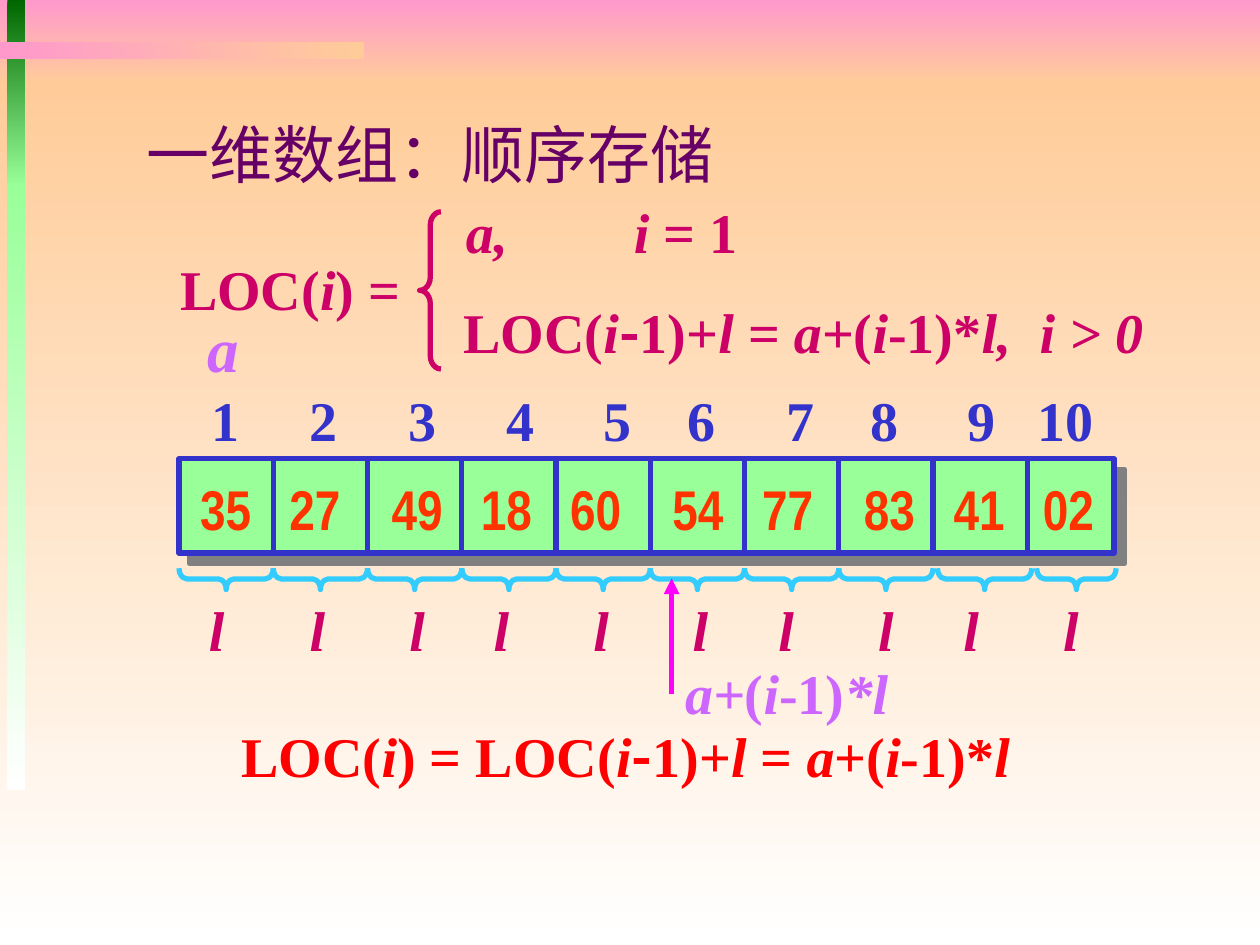
from dataclasses import dataclass
from typing import NamedTuple, Optional

import lxml.etree
import pptx
import pptx.dml.color
import pptx.enum.shapes
import pptx.enum.text
import pptx.oxml.ns
import pptx.util

Cm = pptx.util.Cm
Pt = pptx.util.Pt
qn = pptx.oxml.ns.qn
SHAPES = pptx.enum.shapes.MSO_SHAPE


@dataclass(frozen=True)
class Theme:
    pink: str = "FF99CC"
    peach: str = "FFCC99"
    white: str = "FFFFFF"
    dark_green: str = "006600"
    green: str = "99FF99"
    blue: str = "3333CC"
    cyan: str = "33CCFF"
    shadow: str = "808080"
    value: str = "FF3300"
    formula: str = "CC0066"
    result: str = "FF0000"
    address: str = "CC66FF"
    arrow: str = "FF00FF"
    title: str = "660066"
    serif: str = "Times New Roman"
    narrow: str = "Arial Narrow"
    dash: str = "Noto Sans CJK SC"
    text_size: int = 32
    large_size: int = 36
    line_width: int = 3


class Run(NamedTuple):
    text: str
    italic: bool = False
    font: Optional[str] = None


class Band(NamedTuple):
    left: float
    top: float
    width: float
    height: float
    start: str
    end: str
    angle: int = 270


class Line(NamedTuple):
    left: float
    top: float
    width: float
    runs: tuple
    color: str
    tabs: tuple = ()
    size: int = 32
    font: str = "Times New Roman"


THEME = Theme()
INSET = 0.25
ROW_LEFT, ROW_TOP, ROW_WIDTH, ROW_HEIGHT = 3.61, 9.25, 18.85, 1.9
PITCH = 1.9
TEXT_LEFT, TEXT_WIDTH = 3.5, 19.5

BANDS = (
    Band(0, 0, 25.4, 1.7, THEME.pink, THEME.peach),
    Band(0, 1.7, 25.4, 17.35, THEME.peach, THEME.white),
    Band(0.15, 0, 0.36, 3.76, THEME.dark_green, THEME.green),
    Band(0.15, 3.71, 0.36, 12.22, THEME.green, THEME.white),
    Band(0, 0.84, 7.34, 0.36, THEME.pink, THEME.peach, 0),
)

I, L, A = Run("i", True), Run("l", True), Run("a", True)
OFFSET = (A, Run("+("), I, Run("-1)*"), L)
RECURRENCE = (Run("LOC("), I, Run("-", font=THEME.dash), Run("1)+"), L, Run(" = "), *OFFSET)


def spread(items: list, italic: bool = False) -> tuple:
    """Put a tab before every item, so each one sits on its own stop."""
    return (Run("".join(f"\t{item}" for item in items), italic),)


VALUES = ["35", "27", "49", "18", "60", "54", "77", "83", "41", "02"]
VALUE_CENTRES = (4.55, 6.35, 8.41, 10.21, 12.01, 14.07, 15.88, 17.93, 19.74, 21.54)
INDEX_CENTRES = (4.55, 6.53, 8.51, 10.49, 12.45, 14.15, 16.13, 17.83, 19.79, 21.49)
LENGTH_CENTRES = (4.37, 6.4, 8.41, 10.11, 12.12, 14.12, 15.85, 17.86, 19.58, 21.59)

ROWS = (
    (9.45, spread(VALUES), THEME.value, VALUE_CENTRES, THEME.narrow),
    (7.65, spread(list(range(1, 11))), THEME.blue, INDEX_CENTRES, THEME.serif),
    (11.89, spread(["l"] * 10, True), THEME.formula, LENGTH_CENTRES, THEME.serif),
)

LINES = (
    Line(4.62, 14.43, 16.5, (Run("LOC("), I, Run(") = "), *RECURRENCE), THEME.result),
    Line(3.38, 5, 5.72, (Run("LOC("), I, Run(") =")), THEME.formula),
    Line(9.09, 5.87, 15, (*RECURRENCE, Run(",\ti > 0", True)), THEME.formula, (20.96,)),
    Line(9.14, 3.86, 8, (Run("a,\ti ", True), Run("= 1")), THEME.formula, (12.78,)),
    Line(13.56, 13.16, 6, (Run("a+", True), Run("("), I, Run("-1)"), Run("*l", True)),
         THEME.address),
    Line(3.94, 6.12, 1.5, (A,), THEME.address, size=THEME.large_size),
)


def rgb(color: str) -> pptx.dml.color.RGBColor:
    return pptx.dml.color.RGBColor.from_string(color)


def style_line(shape, color: str) -> None:
    shape.line.color.rgb = rgb(color)
    shape.line.width = Pt(THEME.line_width)


def add_band(shapes, band: Band) -> None:
    bar = shapes.add_shape(SHAPES.RECTANGLE, *map(Cm, band[:4]))
    bar.shadow.inherit = False
    bar.line.fill.background()
    bar.fill.gradient()
    bar.fill.gradient_angle = band.angle
    for stop, color in zip(bar.fill.gradient_stops, (band.start, band.end)):
        stop.color.rgb = rgb(color)


def add_array_frame(shapes) -> None:
    frame = shapes.add_shape(
        SHAPES.RECTANGLE, Cm(ROW_LEFT), Cm(ROW_TOP), Cm(ROW_WIDTH), Cm(ROW_HEIGHT))
    frame.fill.solid()
    frame.fill.fore_color.rgb = rgb(THEME.green)
    style_line(frame, THEME.blue)
    frame.shadow.inherit = False
    effects = frame.element.spPr.find(qn("a:effectLst"))
    shadow = lxml.etree.SubElement(
        effects, qn("a:outerShdw"), dist=str(Pt(8.5)), dir="2700000", algn="ctr", rotWithShape="0")
    lxml.etree.SubElement(shadow, qn("a:srgbClr"), val=THEME.shadow)


def add_line(shapes, start: tuple, end: tuple, color: str, arrow: bool = False) -> None:
    line = shapes.add_connector(
        pptx.enum.shapes.MSO_CONNECTOR.STRAIGHT, *map(Cm, start + end))
    style_line(line, color)
    if arrow:
        lxml.etree.SubElement(line.line._get_or_add_ln(), qn("a:tailEnd"), type="triangle")
    lxml.etree.SubElement(line.element.spPr, qn("a:effectLst"))


def add_brace(shapes, left: float, top: float, depth: float, length: float,
              curl: float, color: str, rotation: int = 0) -> None:
    brace = shapes.add_shape(SHAPES.LEFT_BRACE, Cm(left), Cm(top), Cm(depth), Cm(length))
    brace.rotation = rotation
    brace.adjustments[0] = curl
    brace.fill.background()
    brace.shadow.inherit = False
    style_line(brace, color)


def add_text(shapes, line: Line, tab_align: str = "l") -> None:
    """Write a line of runs; its tab stops are given from the slide's left edge."""
    box = shapes.add_textbox(Cm(line.left), Cm(line.top), Cm(line.width), Cm(1.63))
    box.text_frame.word_wrap = True
    paragraph = box.text_frame.paragraphs[0]
    if line.tabs:
        stops = lxml.etree.SubElement(paragraph._p.get_or_add_pPr(), qn("a:tabLst"))
        for tab in line.tabs:
            position = Cm(tab - line.left - INSET)
            lxml.etree.SubElement(stops, qn("a:tab"), pos=str(position), algn=tab_align)
    font = paragraph.font
    font.name, font.size, font.bold = line.font, Pt(line.size), True
    font.color.rgb = rgb(line.color)
    for part in line.runs:
        run = paragraph.add_run()
        run.text = part.text
        if part.italic:
            run.font.italic = True
        if part.font:
            run.font.name = part.font


def place_title(title) -> None:
    title.left, title.top, title.width, title.height = map(Cm, (2.69, 2.13, 15.6, 1.91))
    title.text_frame.text = "一维数组：顺序存储"
    title.text_frame.vertical_anchor = pptx.enum.text.MSO_ANCHOR.MIDDLE
    paragraph = title.text_frame.paragraphs[0]
    paragraph.alignment = pptx.enum.text.PP_ALIGN.LEFT
    paragraph.font.name, paragraph.font.size = THEME.serif, Pt(THEME.large_size)
    paragraph.font.color.rgb = rgb(THEME.title)
    title.element.getparent().append(title.element)


def main() -> None:
    deck = pptx.Presentation()
    deck.slide_width, deck.slide_height = Cm(25.4), Cm(19.05)
    slide = deck.slides.add_slide(deck.slide_layouts[5])
    shapes = slide.shapes
    for band in BANDS:
        add_band(shapes, band)

    add_array_frame(shapes)
    for cell in range(1, 10):
        x = ROW_LEFT + cell * PITCH
        add_line(shapes, (x, ROW_TOP), (x, ROW_TOP + ROW_HEIGHT), THEME.blue)
    for top, runs, color, centres, font in ROWS:
        row = Line(TEXT_LEFT, top, TEXT_WIDTH, runs, color, centres, font=font)
        add_text(shapes, row, "ctr")

    depth, middle = 0.43, 11.67
    spans = [(ROW_LEFT + cell * PITCH, PITCH) for cell in range(8)]
    for start, length in spans + [(18.9, 1.9), (20.9, 1.6)]:
        add_brace(shapes, start + (length - depth) / 2, middle - length / 2,
                  depth, length, 0.37, THEME.cyan, 270)

    add_brace(shapes, 8.46, 4.27, 0.43, 3.17, 0.62, THEME.formula)
    for line in LINES:
        add_text(shapes, line)
    add_line(shapes, (13.54, 14), (13.54, 11.66), THEME.arrow, arrow=True)
    place_title(shapes.title)
    deck.save("out.pptx")


if __name__ == "__main__":
    main()
